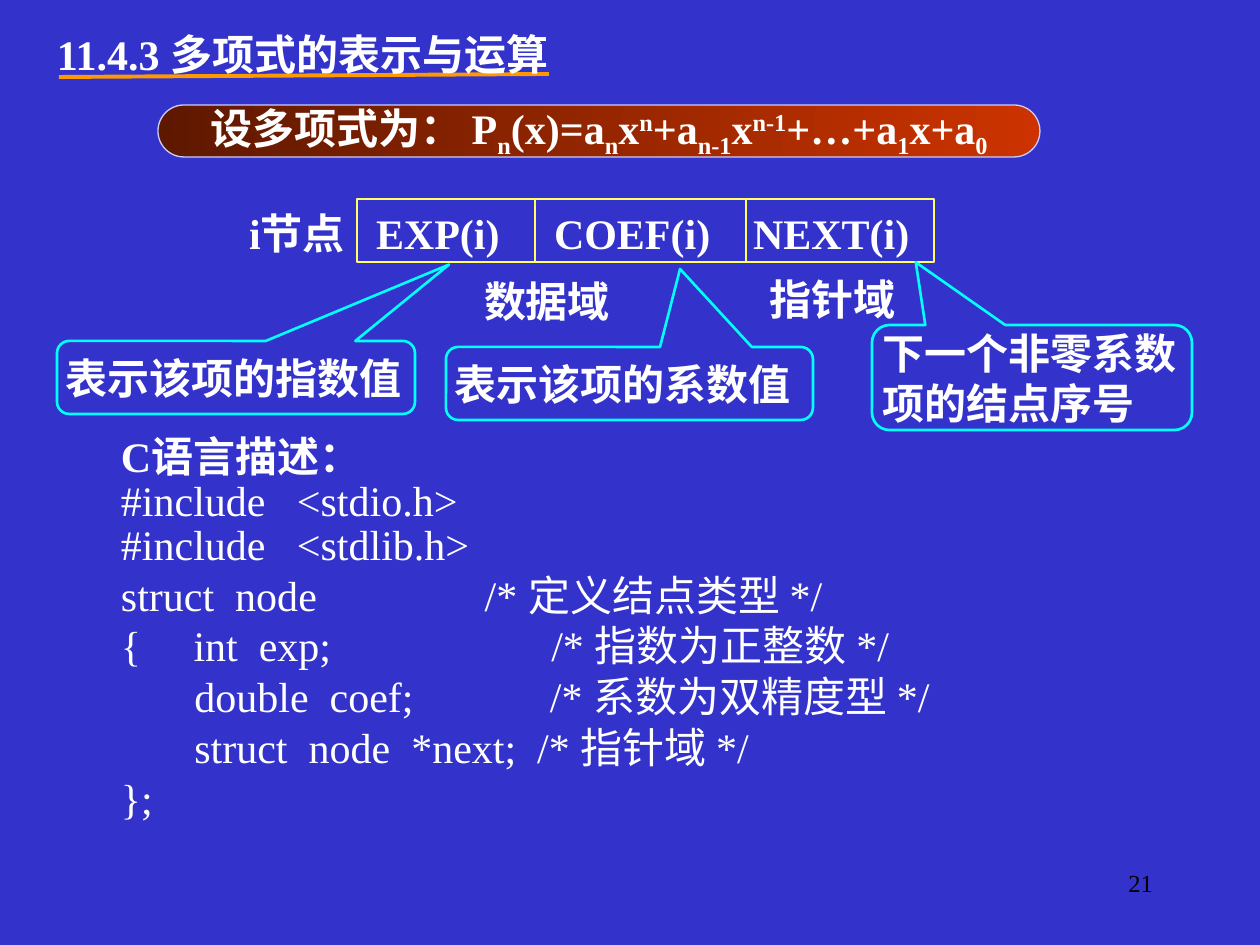
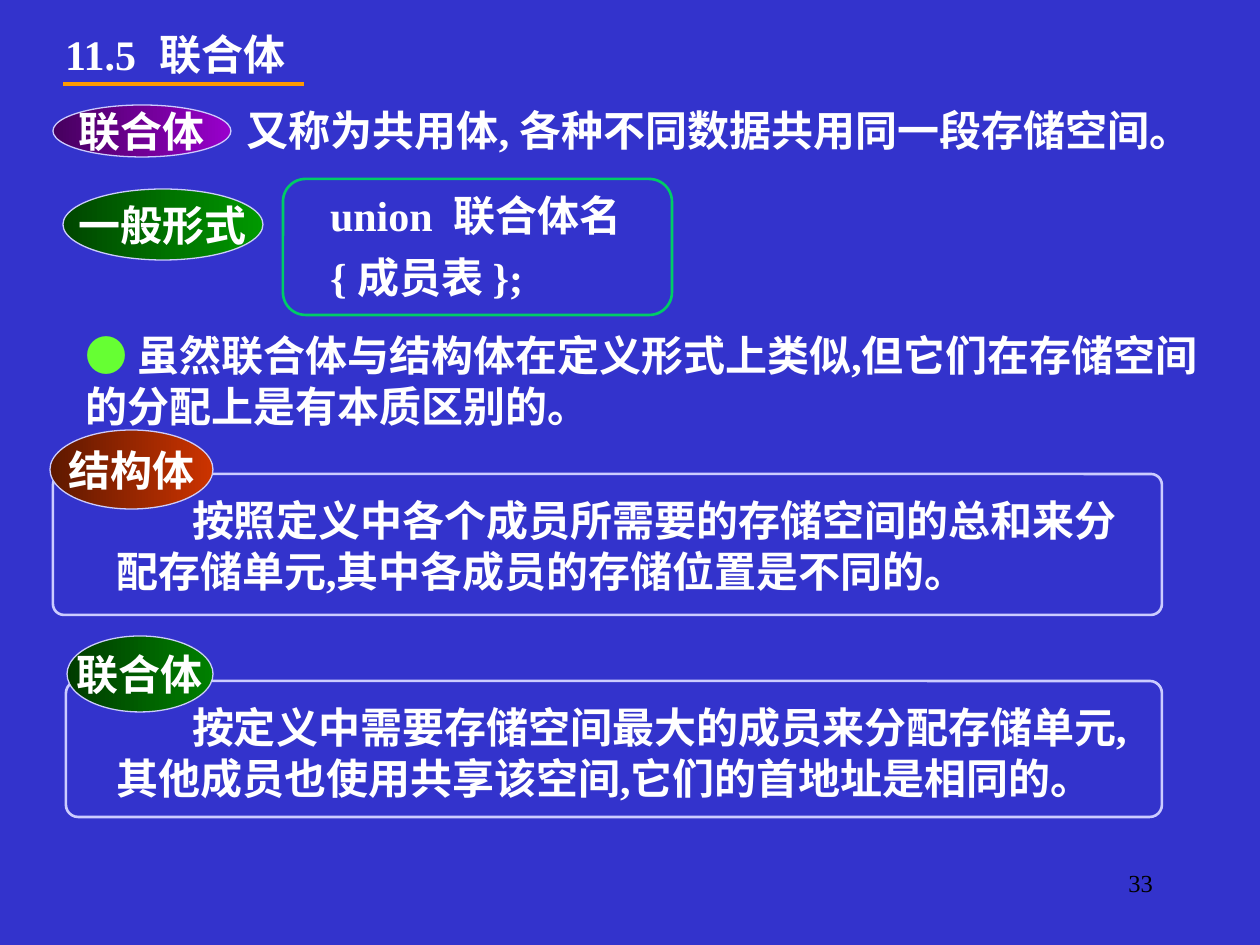
from dataclasses import dataclass

from lxml import etree
from pptx import Presentation
from pptx.dml.color import RGBColor
from pptx.enum.shapes import MSO_CONNECTOR, MSO_SHAPE
from pptx.enum.text import MSO_ANCHOR, PP_ALIGN
from pptx.oxml.ns import qn
from pptx.util import Emu, Pt

STRAIGHT = MSO_CONNECTOR.STRAIGHT
RECT, ROUND_RECT = MSO_SHAPE.RECTANGLE, MSO_SHAPE.ROUNDED_RECTANGLE
ELLIPSE, CALLOUT = MSO_SHAPE.OVAL, MSO_SHAPE.ROUNDED_RECTANGULAR_CALLOUT
LEFT, CENTER, RIGHT = PP_ALIGN.LEFT, PP_ALIGN.CENTER, PP_ALIGN.RIGHT
TOP, MIDDLE = MSO_ANCHOR.TOP, MSO_ANCHOR.MIDDLE

PX_PER_INCH = 126
INSET = 5
TEXT_LINE = 51


@dataclass(frozen=True)
class Theme:
    font: str = "Times New Roman"
    body_size: int = 24
    number_size: int = 14
    background: str = "3333CC"
    text: str = "FFFFFF"
    number: str = "000000"
    underline: str = "FF9900"
    outline: str = "CCCCFF"
    node: str = "FFFF66"
    callout: str = "00FFFF"
    syntax: str = "00CC66"
    bullet: str = "66FF33"
    red: tuple = ("5E1800", "CC3300")
    purple: tuple = ("46005E", "9900CC")
    green: tuple = ("004600", "009900")
    dark_green: tuple = ("003B00", "008000")
    thin: float = 0.75
    medium: float = 1.5
    thick: float = 2.25


THEME = Theme()


@dataclass(frozen=True)
class Box:
    left: int
    top: int
    width: int
    height: int

    def emu(self) -> list:
        return [px(v) for v in (self.left, self.top, self.width, self.height)]


@dataclass(frozen=True)
class Run:
    text: str
    baseline: int = 0
    color: str = THEME.text
    bold: bool = True


@dataclass(frozen=True)
class Line:
    """A paragraph; spacing and before are in points, indent and tabs in px."""
    runs: tuple
    spacing: int = 0
    before: int = 0
    indent: int = 0
    tabs: tuple = ()


@dataclass(frozen=True)
class Note:
    text: str
    box: Box
    tip: tuple


@dataclass(frozen=True)
class Badge:
    text: str
    box: Box
    colors: tuple
    kind: int = ELLIPSE


@dataclass(frozen=True)
class Panel:
    frame: Box
    corner: float
    badge: Badge
    text: str


def px(value: float) -> Emu:
    return Emu(round(value * 914400 / PX_PER_INCH))


def rgb(value: str) -> RGBColor:
    return RGBColor.from_string(value)


def write(shape, content, *, size=THEME.body_size, color=THEME.text, bold=True,
          align=LEFT, anchor=TOP, wrap=True) -> None:
    """Fill a shape with a string or a list of Line objects."""
    lines = [Line((Run(content, color=color, bold=bold),))] if isinstance(content, str) else content
    frame = shape.text_frame
    frame.word_wrap, frame.vertical_anchor = wrap, anchor
    frame.margin_left = frame.margin_right = px(INSET)
    frame.margin_top = frame.margin_bottom = 0
    for index, line in enumerate(lines):
        paragraph = frame.add_paragraph() if index else frame.paragraphs[0]
        paragraph.alignment = align
        if line.spacing:
            paragraph.line_spacing = Pt(line.spacing)
        if line.before:
            paragraph.space_before = Pt(line.before)
        properties = paragraph._p.get_or_add_pPr()
        if line.indent:
            properties.set("marL", "0")
            properties.set("indent", str(px(line.indent)))
        if line.tabs:
            stops = etree.SubElement(properties, qn("a:tabLst"))
            for position in line.tabs:
                etree.SubElement(stops, qn("a:tab"), pos=str(px(position)), algn="l")
        for part in line.runs:
            run = paragraph.add_run()
            run.text = part.text
            run.font.name, run.font.size = THEME.font, Pt(size)
            run.font.bold, run.font.color.rgb = part.bold, rgb(part.color)
            if part.baseline:
                run._r.get_or_add_rPr().set("baseline", str(part.baseline * 1000))


def add_text(slide, box: Box, content, **style) -> None:
    write(slide.shapes.add_textbox(*box.emu()), content, **style)


def add_outline(slide, kind: int, box: Box, color: str, width: float, adjustments=()):
    shape = slide.shapes.add_shape(kind, *box.emu())
    shape.shadow.inherit = False
    shape.fill.background()
    shape.line.color.rgb, shape.line.width = rgb(color), Pt(width)
    for index, value in enumerate(adjustments):
        shape.adjustments[index] = value
    return shape


def add_line(slide, start: tuple, end: tuple, color: str, width: float) -> None:
    line = slide.shapes.add_connector(STRAIGHT, *(px(v) for v in start + end))
    line.line.color.rgb, line.line.width = rgb(color), Pt(width)
    etree.SubElement(line._element.spPr, qn("a:effectLst"))


def add_badge(slide, badge: Badge, content=None) -> None:
    """Draw a gradient shape with one centred line of text."""
    corner = (0.5,) if badge.kind == ROUND_RECT else ()
    shape = add_outline(slide, badge.kind, badge.box, THEME.outline, THEME.thin, corner)
    shape.fill.gradient()
    shape.fill.gradient_angle = 0
    for stop, color in zip(shape.fill.gradient_stops, badge.colors):
        stop.color.rgb = rgb(color)
    write(shape, content or badge.text, align=CENTER, anchor=MIDDLE, wrap=False)


def add_note(slide, note: Note) -> None:
    shape = add_outline(slide, CALLOUT, note.box, THEME.callout, THEME.medium, note.tip + (0.167,))
    write(shape, note.text, anchor=MIDDLE)


def add_panel(slide, panel: Panel) -> None:
    text_box = Box(111, panel.frame.top + 21, 1039, 2 * TEXT_LINE)
    add_text(slide, text_box, [Line((Run(panel.text),), indent=76)])
    add_outline(slide, ROUND_RECT, panel.frame, THEME.outline, THEME.medium, (panel.corner,))
    add_badge(slide, panel.badge)


def new_slide(deck, number: int, underline_start: tuple, underline_end: tuple):
    """Add a slide with the shared background, title underline and page number."""
    slide = deck.slides.add_slide(deck.slide_layouts[6])
    slide.background.fill.solid()
    slide.background.fill.fore_color.rgb = rgb(THEME.background)
    add_line(slide, underline_start, underline_end, THEME.underline, THEME.thick)
    add_text(slide, Box(903, 868, 255, 50), str(number), size=THEME.number_size,
             color=THEME.number, bold=False, align=RIGHT)
    return slide


POLYNOMIAL = (
    Run("设多项式为： P"), Run("n", -25), Run("(x)=a"), Run("n", -25), Run("x"), Run("n", 30),
    Run("+a"), Run("n-1", -25), Run("x"), Run("n-1", 30), Run("+…+a"), Run("1", -25),
    Run("x+a"), Run("0", -25),
)

NOTES = (
    Note("表示该项的指数值", Box(57, 341, 358, 73), (0.595, -1.546)),
    Note("表示该项的系数值", Box(446, 347, 367, 73), (0.138, -1.568)),
    Note("下一个非零系数项的结点序号", Box(872, 325, 320, 105), (-0.363, -1.098)),
)

INCLUDES = ("#include   <stdio.h>", "#include   <stdlib.h>")
STRUCT = (
    "struct  node                /* 定义结点类型 */",
    "{     int  exp;                     /* 指数为正整数 */",
    "       double  coef;             /* 系数为双精度型 */",
    "       struct  node  *next;  /* 指针域 */",
    "};",
)

UNION_BADGES = (
    Badge("联合体", Box(53, 105, 178, 52), THEME.purple),
    Badge("一般形式", Box(63, 189, 200, 71), THEME.green),
)

PANELS = (
    Panel(Box(53, 474, 1109, 141), 0.078,
          Badge("结构体", Box(50, 430, 163, 79), THEME.red),
          "按照定义中各个成员所需要的存储空间的总和来分配存储单元,其中各成员的存储位置是不同的。"),
    Panel(Box(66, 681, 1096, 136), 0.09,
          Badge("联合体", Box(67, 636, 146, 76), THEME.dark_green),
          "按定义中需要存储空间最大的成员来分配存储单元, 其他成员也使用共享该空间,它们的首地址是相同的。"),
)


def build_polynomial_slide(deck) -> None:
    slide = new_slide(deck, 21, (59, 77), (549, 74))
    add_text(slide, Box(52, 29, 560, TEXT_LINE), "11.4.3 多项式的表示与运算")
    add_badge(slide, Badge("", Box(158, 105, 882, 52), THEME.red, ROUND_RECT), [Line(POLYNOMIAL)])

    fields = Line((Run("i节点\tEXP(i)\tCOEF(i)\tNEXT(i)"),), tabs=(127, 305, 504))
    add_text(slide, Box(244, 208, 726, TEXT_LINE), [fields])
    node = Box(357, 199, 577, 63)
    add_outline(slide, RECT, node, THEME.node, THEME.medium)
    for x in (535, 746):
        add_line(slide, (x, node.top + node.height), (x, node.top), THEME.node, THEME.medium)
    add_text(slide, Box(479, 276, 160, TEXT_LINE), "数据域")
    add_text(slide, Box(765, 274, 179, TEXT_LINE), "指针域")
    for note in NOTES:
        add_note(slide, note)

    code = [Line((Run("C语言描述："),))]
    for sources, spacing in ((INCLUDES, 25), (STRUCT, 29)):
        code += [Line((Run(source, bold=False),), spacing=spacing) for source in sources]
    add_text(slide, Box(116, 431, 914, 422), code)


def build_union_slide(deck) -> None:
    slide = new_slide(deck, 33, (63, 84), (304, 84))
    add_text(slide, Box(60, 29, 95, TEXT_LINE), "11.5")
    add_text(slide, Box(155, 29, 179, TEXT_LINE), "联合体")
    for badge in UNION_BADGES:
        add_badge(slide, badge)
    add_text(slide, Box(242, 105, 980, TEXT_LINE),
             "又称为共用体, 各种不同数据共用同一段存储空间。", wrap=False)

    add_text(slide, Box(325, 189, 357, 117),
             [Line((Run("union  联合体名"),)), Line((Run("{ 成员表 };"),), before=7)])
    add_outline(slide, ROUND_RECT, Box(283, 179, 389, 136), THEME.syntax, THEME.medium, (0.167,))

    difference = (Run("● ", color=THEME.bullet, bold=False),
                  Run("虽然联合体与结构体在定义形式上类似,但它们在存储空间的分配上是有本质区别的。"))
    add_text(slide, Box(81, 330, 1134, 2 * TEXT_LINE), [Line(difference)])
    for panel in PANELS:
        add_panel(slide, panel)


def main() -> None:
    deck = Presentation()
    deck.slide_width, deck.slide_height = px(1260), px(945)
    build_polynomial_slide(deck)
    build_union_slide(deck)
    deck.save("out.pptx")


if __name__ == "__main__":
    main()
